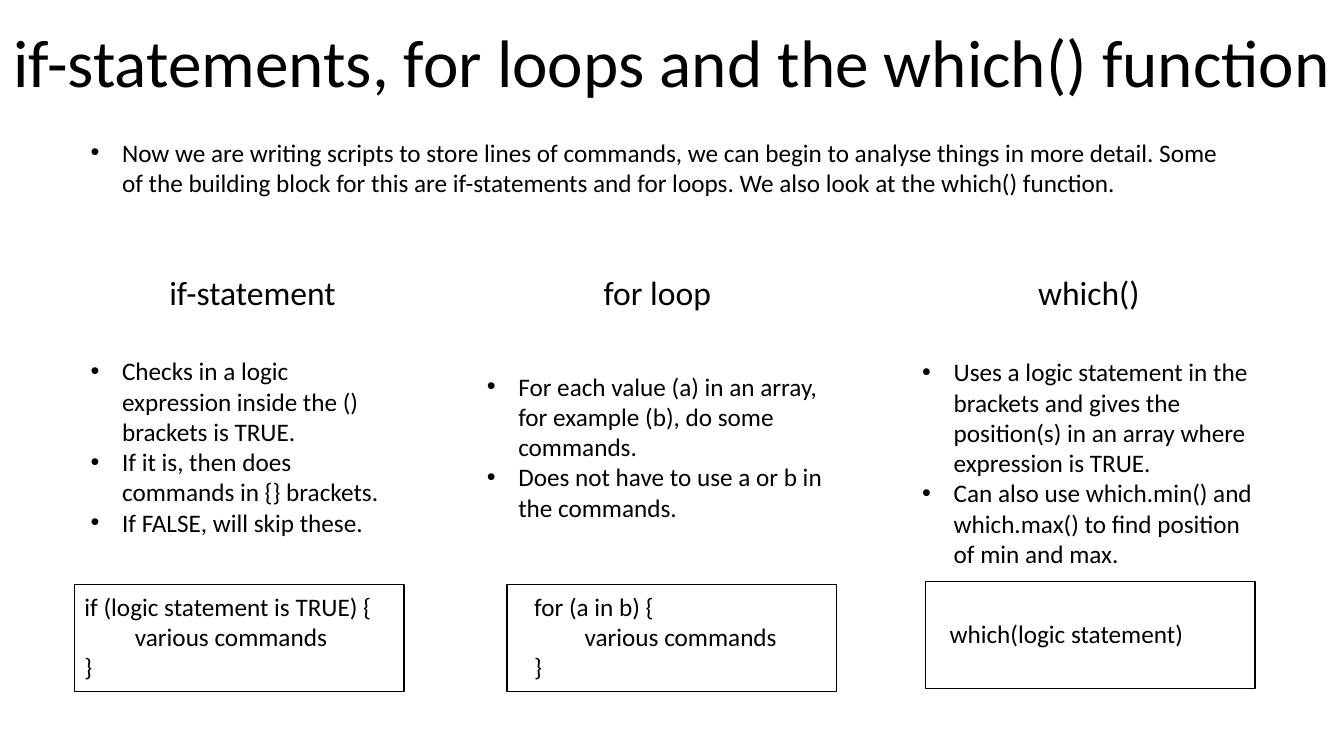
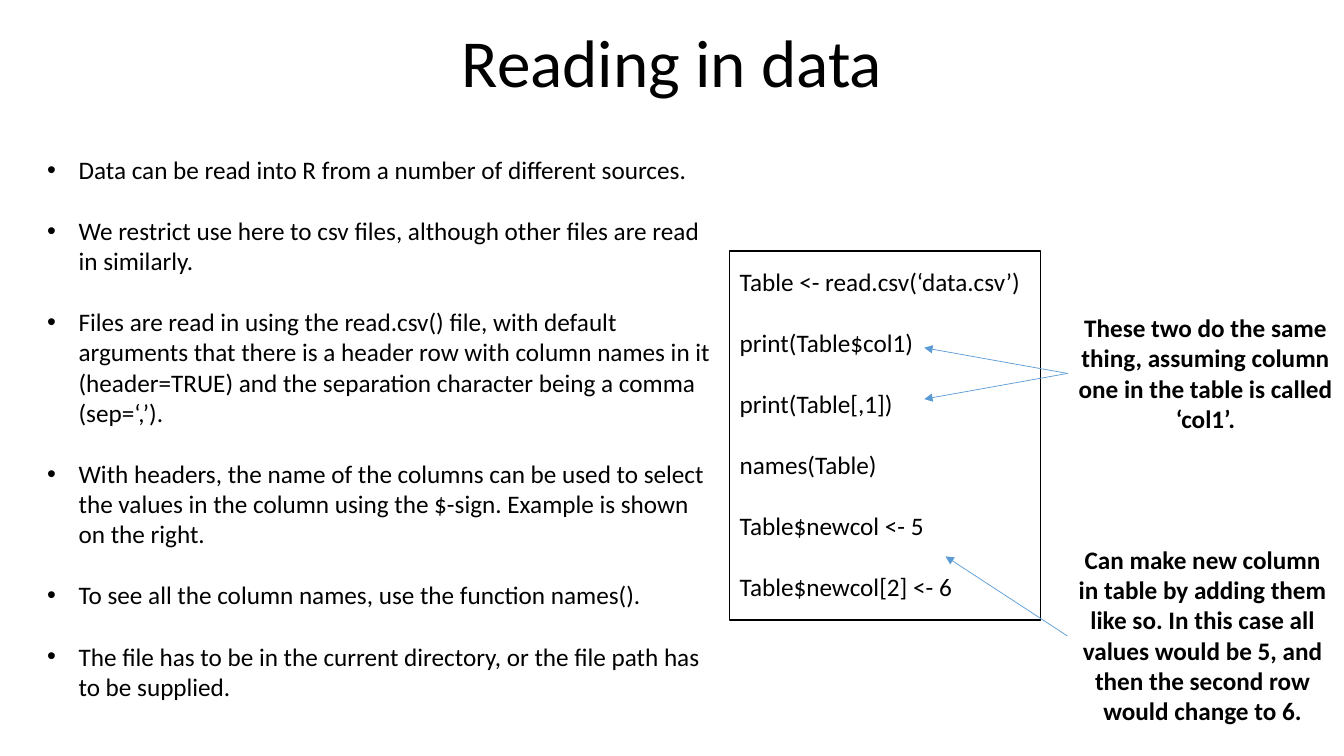
import pptx
import pptx.dml.color
import pptx.enum.shapes
import pptx.enum.text
import pptx.oxml.ns
import pptx.util
from lxml import etree

Pt = pptx.util.Pt
Align = pptx.enum.text.PP_ALIGN
Anchor = pptx.enum.text.MSO_ANCHOR
qn = pptx.oxml.ns.qn

BLACK = pptx.dml.color.RGBColor(0x00, 0x00, 0x00)
BLUE = pptx.dml.color.RGBColor(0x5B, 0x9B, 0xD5)
FONT = "Calibri"
BODY = 18
LINE = 22
INDENT = 22.5
FRAME_SIZE = (235.4, 76.3)


def write(box, lines, size=BODY, align=Align.LEFT, bold=False, bullets=False, gap=0):
    """Put one paragraph per line into a box, gap points apart."""
    frame = box.text_frame
    frame.word_wrap = True
    for index, line in enumerate(lines):
        para = frame.add_paragraph() if index else frame.paragraphs[0]
        para.alignment = align
        if index and gap:
            para.space_before = Pt(gap)
        if bullets:
            props = para._p.get_or_add_pPr()
            props.set("marL", str(Pt(INDENT)))
            props.set("indent", str(-Pt(INDENT)))
            etree.SubElement(props, qn("a:buFont")).set("typeface", "Arial")
            etree.SubElement(props, qn("a:buChar")).set("char", "•")
        span = para.add_run()
        span.text = line
        span.font.name = FONT
        span.font.size = Pt(size)
        span.font.bold = bold
        span.font.color.rgb = BLACK
    return box


def add_code(page, left, top, width, height, inset, lines, gap=0):
    """Outline a rectangle around lines of code."""
    frame = page.shapes.add_shape(
        pptx.enum.shapes.MSO_SHAPE.RECTANGLE, Pt(left), Pt(top), Pt(width), Pt(height))
    frame.shadow.inherit = False
    frame.fill.background()
    frame.line.color.rgb = BLACK
    frame.line.width = Pt(1)
    frame.text_frame.vertical_anchor = Anchor.MIDDLE
    frame.text_frame.margin_left = Pt(inset)
    frame.text_frame.margin_right = Pt(0)
    frame.text_frame.margin_bottom = Pt(6)
    write(frame, lines, gap=gap)


deck = pptx.Presentation()
deck.slide_width = Pt(960)
deck.slide_height = Pt(540)

pages = []
for title in ("if-statements, for loops and the which() function", "Reading in data"):
    page = deck.slides.add_slide(deck.slide_layouts[6])
    box = page.shapes.add_textbox(Pt(0), Pt(10.8), Pt(960), Pt(65.5))
    write(box, [title], size=48, align=Align.CENTER)
    pages.append(page)
control_page, data_page = pages

# Control flow: an introduction above three columns
box = control_page.shapes.add_textbox(Pt(57.6), Pt(94.3), Pt(825), Pt(51))
write(box, ["Now we are writing scripts to store lines of commands, we can begin to analyse "
            "things in more detail. Some of the building block for this are if-statements "
            "and for loops. We also look at the which() function."], bullets=True)

# heading, heading left, (points left, top, width), points, (code left, top, inset), code
columns = [
    ("if-statement", 113.8, (57.6, 250.6, 231.1),
     ["Checks in a logic expression inside the () brackets is TRUE.",
      "If it is, then does commands in {} brackets.",
      "If FALSE, will skip these."],
     (53.3, 417.6, 7.2),
     ["if (logic statement is TRUE) {", "\tvarious commands", "}"]),
    ("for loop", 424.1, (340.6, 261.4, 259.9),
     ["For each value (a) in an array, for example (b), do some commands.",
      "Does not have to use a or b in the commands."],
     (362.2, 417.6, 19.4),
     ["for (a in b) {", "\tvarious commands", "}"]),
    ("which()", 734.4, (651.6, 251.3, 257.8),
     ["Uses a logic statement in the brackets and gives the position(s) in an array "
      "where expression is TRUE.",
      "Can also use which.min() and which.max() to find position of min and max."],
     (661, 415.4, 17.3),
     ["which(logic statement)"]),
]
for heading, heading_left, points_place, points, code_place, code in columns:
    box = control_page.shapes.add_textbox(Pt(heading_left), Pt(190.8), Pt(143.3), Pt(36))
    write(box, [heading], size=24)
    left, top, width = points_place
    box = control_page.shapes.add_textbox(Pt(left), Pt(top), Pt(width), Pt(138))
    write(box, points, bullets=True)
    left, top, inset = code_place
    add_code(control_page, left, top, *FRAME_SIZE, inset, code)

# Reading data: points, code and two remarks with arrows
box = data_page.shapes.add_textbox(Pt(26.6), Pt(106.6), Pt(494.6), Pt(399.6))
write(box, [
    "Data can be read into R from a number of different sources.",
    "We restrict use here to csv files, although other files are read in similarly.",
    "Files are read in using the read.csv() file, with default arguments that there is a "
    "header row with column names in it (header=TRUE) and the separation character being "
    "a comma (sep=‘,’).",
    "With headers, the name of the columns can be used to select the values in the column "
    "using the $-sign. Example is shown on the right.",
    "To see all the column names, use the function names().",
    "The file has to be in the current directory, or the file path has to be supplied.",
], bullets=True, gap=LINE)

add_code(data_page, 521.3, 179.3, 221.8, 263.5, 7.2, [
    "Table <- read.csv(‘data.csv’)",
    "print(Table$col1)",
    "print(Table[,1])",
    "names(Table)",
    "Table$newcol <- 5",
    "Table$newcol[2] <- 6",
], gap=LINE)

# top, width, height, text, arrow tips
remarks = [
    (219.6, 197.3, 94.3,
     "These two do the same thing, assuming column one in the table is called ‘col1’.",
     [(660.2, 248.4), (660.2, 285.1)]),
    (385.2, 193, 138.2,
     "Can make new column in table by adding them like so. In this case all values would "
     "be 5, and then the second row would change to 6.",
     [(675.4, 397.4)]),
]
for top, width, height, remark, tips in remarks:
    box = data_page.shapes.add_textbox(Pt(762.5), Pt(top), Pt(width), Pt(height))
    write(box, [remark], align=Align.CENTER, bold=True)
    for tip_x, tip_y in tips:
        arrow = data_page.shapes.add_connector(
            pptx.enum.shapes.MSO_CONNECTOR.STRAIGHT,
            Pt(762.5), Pt(top + height / 2), Pt(tip_x), Pt(tip_y))
        arrow.begin_connect(box, 1)
        arrow.line.color.rgb = BLUE
        arrow.line.width = Pt(0.5)
        etree.SubElement(arrow.line._get_or_add_ln(), qn("a:tailEnd")).set("type", "triangle")
        etree.SubElement(arrow._element.spPr, qn("a:effectLst"))

deck.save("out.pptx")
